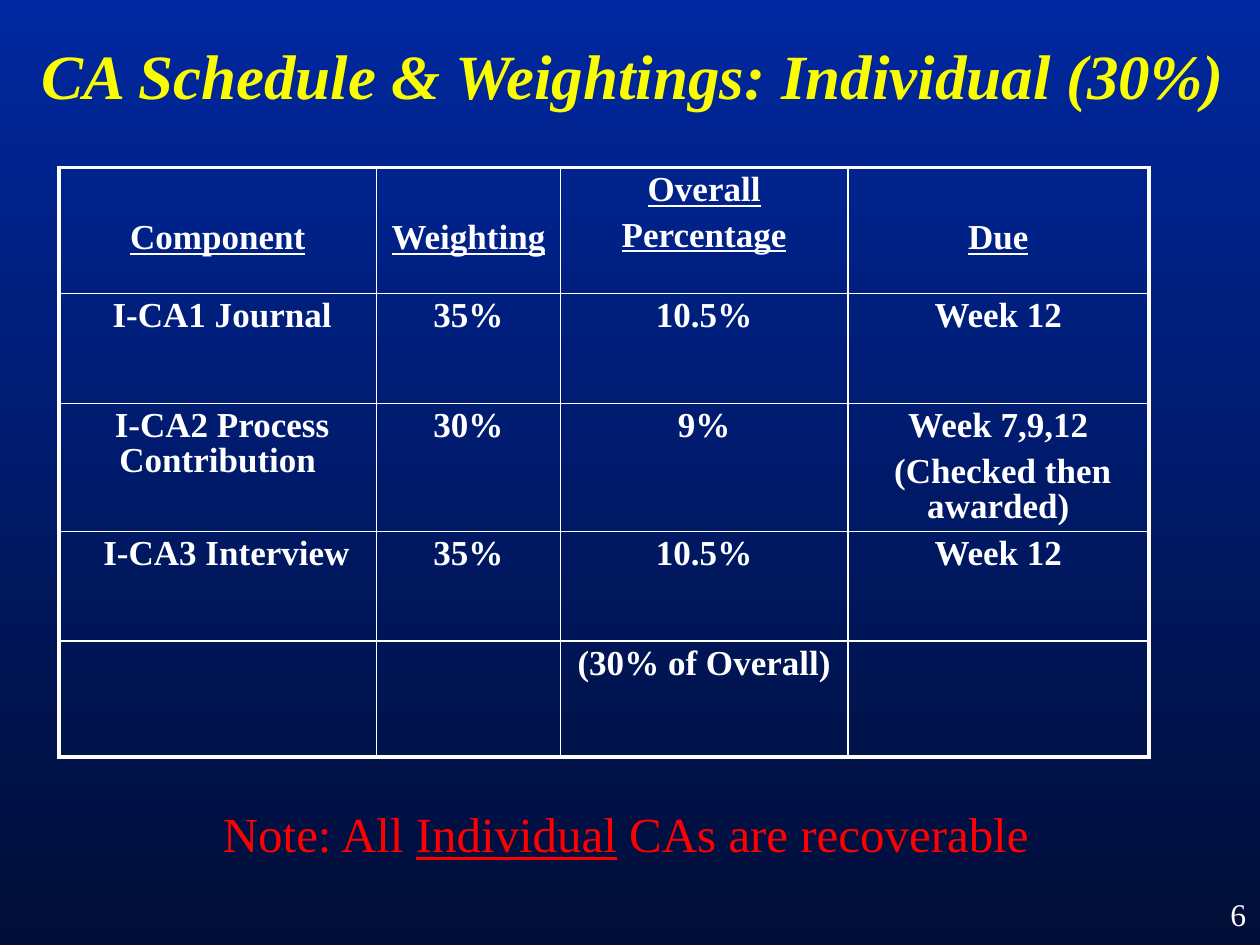
from lxml import etree
from pptx import Presentation
from pptx import util as u
from pptx.dml.color import RGBColor
from pptx.enum import text
from pptx.oxml.ns import qn

COLORS = {"top": "00279F", "bottom": "000D36", "title": "FAFD00",
          "white": "FFFFFF", "note": "FF0000"}
FONT = "Times New Roman"
HEADERS = [["Component"], ["Weighting"], ["Overall", "Percentage"], ["Due"]]
ROWS = [
    [["I-CA1 Journal"], ["35%"], ["10.5%"], ["Week 12"]],
    [["I-CA2 Process Contribution"], ["30%"], ["9%"],
     ["Week 7,9,12", "(Checked then awarded)"]],
    [["I-CA3 Interview"], ["35%"], ["10.5%"], ["Week 12"]],
    [[], [], ["(30% of Overall)"], []],
]
INDENTS = {"I-CA1 Journal": 5, "I-CA2 Process Contribution": 5,
           "(Checked then awarded)": 5, "I-CA3 Interview": 10}
COLUMN_WIDTHS = [6.4, 3.71, 5.79, 6.07]
ROW_HEIGHTS = [2.54, 2.21, 2.21, 2.21, 2.34]


def add_run(paragraph, content, size, color, bold=False, italic=False, underline=False):
    run = paragraph.add_run()
    run.text = content
    font = run.font
    font.name, font.size = FONT, u.Pt(size)
    font.bold, font.italic, font.underline = bold, italic, underline
    font.color.rgb = RGBColor.from_string(COLORS[color])


def set_background(slide):
    fill = slide.background.fill
    fill.gradient()
    fill.gradient_angle = 270
    for stop, name in zip(fill.gradient_stops, ("top", "bottom")):
        stop.color.rgb = RGBColor.from_string(COLORS[name])


def place_title(slide, left, top, width, height):
    title = slide.shapes.title
    title.left, title.top, title.width, title.height = map(u.Cm, (left, top, width, height))
    frame = title.text_frame
    frame.auto_size = text.MSO_AUTO_SIZE.NONE
    frame.vertical_anchor = text.MSO_ANCHOR.MIDDLE
    paragraph = frame.paragraphs[0]
    paragraph.alignment = text.PP_ALIGN.CENTER
    paragraph.line_spacing = 0.9
    add_run(paragraph, "CA Schedule & Weightings: Individual (30%)", 36, "title",
            bold=True, italic=True)


def set_borders(cell, widths):
    properties = cell._tc.get_or_add_tcPr()
    for position, (side, width) in enumerate(zip("LRTB", widths)):
        line = etree.Element(qn(f"a:ln{side}"), w=str(u.Pt(width)))
        fill = etree.SubElement(line, qn("a:solidFill"))
        etree.SubElement(fill, qn("a:srgbClr"), val=COLORS["white"])
        properties.insert(position, line)


def fill_cell(cell, lines, is_header):
    cell.fill.background()
    cell.vertical_anchor = text.MSO_ANCHOR.TOP
    if is_header and len(lines) == 1:
        cell.margin_top = u.Cm(1.09)
    for index, content in enumerate(lines):
        frame = cell.text_frame
        paragraph = frame.add_paragraph() if index else frame.paragraphs[0]
        paragraph.alignment = text.PP_ALIGN.CENTER
        paragraph.line_spacing = 0.9
        paragraph.space_before = u.Pt(6)
        if content in INDENTS:
            paragraph._p.get_or_add_pPr().set("indent", str(u.Pt(INDENTS[content])))
        add_run(paragraph, content, 20, "white", bold=True, underline=is_header)


def place_schedule(slide, left, top):
    contents = [HEADERS] + ROWS
    last_row, last_column = len(ROW_HEIGHTS) - 1, len(COLUMN_WIDTHS) - 1
    frame = slide.shapes.add_table(
        last_row + 1, last_column + 1, u.Cm(left), u.Cm(top),
        u.Cm(sum(COLUMN_WIDTHS)), u.Cm(sum(ROW_HEIGHTS)))
    table = frame.table
    table.first_row = table.horz_banding = False
    for column, width in zip(table.columns, COLUMN_WIDTHS):
        column.width = u.Cm(width)
    for row_index, (row, height) in enumerate(zip(table.rows, ROW_HEIGHTS)):
        row.height = u.Cm(height)
        for column_index, cell in enumerate(row.cells):
            fill_cell(cell, contents[row_index][column_index], row_index == 0)
            outer = (column_index == 0, column_index == last_column,
                     row_index == 0, row_index == last_row)
            set_borders(cell, [2.25 if edge else 1 for edge in outer])


def place_text(slide, left, top, width, height, runs, size, color, alignment, anchor):
    box = slide.shapes.add_textbox(*map(u.Cm, (left, top, width, height)))
    frame = box.text_frame
    frame.word_wrap = True
    frame.vertical_anchor = anchor
    paragraph = frame.paragraphs[0]
    paragraph.alignment = alignment
    for content, underline in runs:
        add_run(paragraph, content, size, color, underline=underline)


def build_schedule_slide(presentation):
    slide = presentation.slides.add_slide(presentation.slide_layouts[5])
    set_background(slide)
    place_title(slide, 0.41, 0, 24.71, 3.18)
    place_schedule(slide, 1.19, 3.38)
    place_text(slide, 20.09, 17.78, 5.28, 1.27, [("6", False)], 18, "white",
               text.PP_ALIGN.RIGHT, text.MSO_ANCHOR.MIDDLE)
    note = [("Note: All ", False), ("Individual", True), (" CAs are recoverable", False)]
    place_text(slide, 0.41, 16.08, 24.41, 1.45, note, 28, "note",
               text.PP_ALIGN.CENTER, text.MSO_ANCHOR.TOP)


presentation = Presentation()
presentation.slide_width, presentation.slide_height = u.Cm(25.4), u.Cm(19.05)
build_schedule_slide(presentation)
presentation.save("out.pptx")
